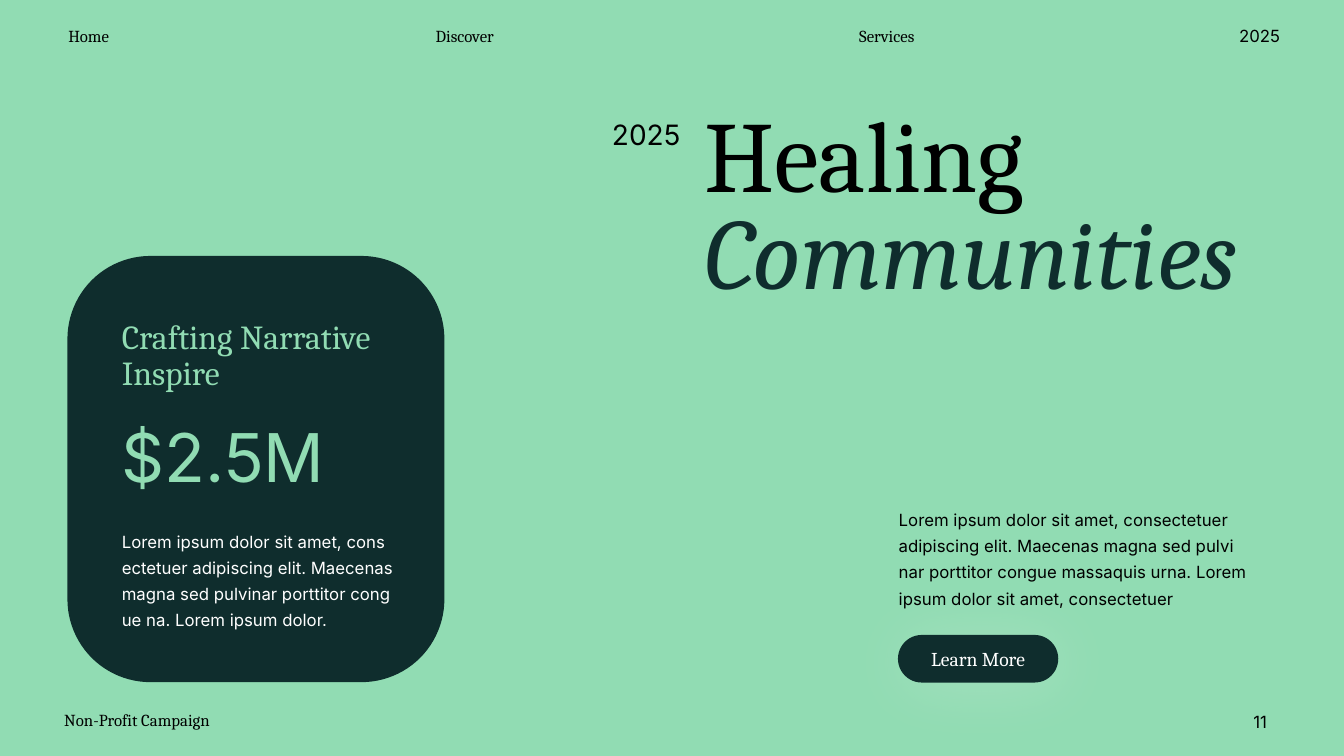
from dataclasses import dataclass

from lxml.etree import SubElement
from pptx import Presentation
from pptx.dml.color import RGBColor
from pptx.enum.shapes import MSO_SHAPE
from pptx.enum.text import MSO_ANCHOR, MSO_AUTO_SIZE, PP_ALIGN
from pptx.oxml.ns import qn
from pptx.shapes.autoshape import Shape
from pptx.slide import Slide
from pptx.text.text import TextFrame
from pptx.util import Cm, Pt

MINT = RGBColor(0x91, 0xDC, 0xB3)
PINE = RGBColor(0x0F, 0x2D, 0x2D)
BLACK = RGBColor(0, 0, 0)
WHITE = RGBColor(0xFF, 0xFF, 0xFF)
GLOW = RGBColor(0xF6, 0xF5, 0xF1)
SERIF = "Cambria"
SANS = "Inter"
LEFT, CENTER, RIGHT = PP_ALIGN.LEFT, PP_ALIGN.CENTER, PP_ALIGN.RIGHT


@dataclass(frozen=True)
class Span:
    text: str
    color: RGBColor = BLACK
    italic: bool = False


@dataclass(frozen=True)
class Style:
    font: str
    size: float
    align: PP_ALIGN = LEFT
    spacing: float = 1.0


@dataclass(frozen=True)
class Label:
    """Place in centimetres, style, and paragraphs made of spans."""
    place: tuple[float, float, float, float]
    style: Style
    paragraphs: list[list[Span]]
    wrap: bool = True


@dataclass(frozen=True)
class Panel:
    place: tuple[float, float, float, float]
    corner: float


MENU = Style(SERIF, 12, CENTER)
MENU_YEAR = Style(SANS, 12, CENTER)
FOOTER = Style(SERIF, 12)
PAGE_NUMBER = Style(SANS, 12, RIGHT)
TITLE = Style(SERIF, 72, spacing=0.8)
TITLE_YEAR = Style(SANS, 20, RIGHT)
CARD_HEADING = Style(SERIF, 24, spacing=0.9)
CARD_FIGURE = Style(SANS, 48, spacing=0.9)
BODY = Style(SANS, 12, spacing=1.3)
BUTTON = Style(SERIF, 14, CENTER)

MENU_TOP, LINE_HEIGHT, CARD_TEXT_LEFT = 0.53, 0.77, 2.82

CARD = Panel((1.7, 6.45, 9.5, 10.74), 0.22)
LEARN_MORE = Panel((22.63, 16.0, 4.04, 1.2), 0.5)

LABELS = [
    Label((1.37, MENU_TOP, 1.73, LINE_HEIGHT), MENU, [[Span("Home")]], wrap=False),
    Label((10.57, MENU_TOP, 2.29, LINE_HEIGHT), MENU, [[Span("Discover")]], wrap=False),
    Label((21.26, MENU_TOP, 2.18, LINE_HEIGHT), MENU, [[Span("Services")]], wrap=False),
    Label((30.96, MENU_TOP, 1.57, LINE_HEIGHT), MENU_YEAR, [[Span("2025")]], wrap=False),
    Label((1.37, 17.75, 7.34, LINE_HEIGHT), FOOTER, [[Span("Non-Profit Campaign")]]),
    Label((30.45, 17.81, 1.73, LINE_HEIGHT), PAGE_NUMBER, [[Span("11")]]),
    Label((17.5, 2.77, 15.19, 5.18), TITLE,
          [[Span("Healing "), Span("Communities", PINE, italic=True)]]),
    Label((14.91, 2.84, 2.49, 1.12), TITLE_YEAR, [[Span("2025")]]),
    Label((22.4, 12.57, 9.5, 2.87), BODY, [
        [Span("Lorem ipsum dolor sit amet, consectetuer adipiscing elit. "
              "Maecenas magna sed pulvi")],
        [Span("nar porttitor congue massaquis urna. Lorem ipsum dolor sit amet, "
              "consectetuer")],
    ]),
    Label((CARD_TEXT_LEFT, 7.95, 7.65, 2.11), CARD_HEADING,
          [[Span("Crafting Narrative Inspire", MINT)]]),
    Label((CARD_TEXT_LEFT, 10.57, 6.1, 2.11), CARD_FIGURE, [[Span("$2.5M", MINT)]]),
    Label((CARD_TEXT_LEFT, 13.11, 7.49, 2.87), BODY, [
        [Span("Lorem ipsum dolor sit amet, cons", WHITE)],
        [Span("ectetuer adipiscing elit. Maecenas magna sed pulvinar porttitor cong", WHITE)],
        [Span("ue na. Lorem ipsum dolor.", WHITE)],
    ]),
]


def write_text(frame: TextFrame, style: Style, paragraphs: list[list[Span]]) -> None:
    for index, spans in enumerate(paragraphs):
        para = frame.add_paragraph() if index else frame.paragraphs[0]
        para.alignment = style.align
        para.line_spacing = style.spacing
        for span in spans:
            run = para.add_run()
            run.text = span.text
            run.font.color.rgb = span.color
            formats = {"name": style.font, "size": Pt(style.size), "italic": span.italic}
            for name, value in formats.items():
                setattr(run.font, name, value)


def add_label(page: Slide, label: Label) -> None:
    box = page.shapes.add_textbox(*map(Cm, label.place))
    formats = {"word_wrap": label.wrap, "auto_size": MSO_AUTO_SIZE.SHAPE_TO_FIT_TEXT}
    for name, value in formats.items():
        setattr(box.text_frame, name, value)
    write_text(box.text_frame, label.style, label.paragraphs)


def add_panel(page: Slide, panel: Panel) -> Shape:
    shape = page.shapes.add_shape(MSO_SHAPE.ROUNDED_RECTANGLE, *map(Cm, panel.place))
    shape.adjustments[0] = panel.corner
    shape.shadow.inherit = False
    shape.fill.solid()
    shape.fill.fore_color.rgb = PINE
    shape.line.fill.background()
    return shape


def add_glow(shape: Shape) -> None:
    """Put a soft pale shadow behind the shape."""
    effects = shape.element.spPr.find(qn("a:effectLst"))
    shadow = SubElement(effects, qn("a:outerShdw"), {
        "blurRad": str(Pt(48)), "dist": str(Pt(4)), "dir": str(45 * 60000),
        "algn": "ctr", "rotWithShape": "0",
    })
    color = SubElement(shadow, qn("a:srgbClr"), val=str(GLOW))
    SubElement(color, qn("a:alpha"), val="21000")


def main() -> None:
    deck = Presentation()
    deck.slide_width, deck.slide_height = Cm(33.87), Cm(19.05)
    page = deck.slides.add_slide(deck.slide_layouts[6])
    page.background.fill.solid()
    page.background.fill.fore_color.rgb = MINT

    add_panel(page, CARD)
    button = add_panel(page, LEARN_MORE)
    add_glow(button)
    button.text_frame.vertical_anchor = MSO_ANCHOR.MIDDLE
    write_text(button.text_frame, BUTTON, [[Span("Learn More", WHITE)]])

    for label in LABELS:
        add_label(page, label)
    deck.save("out.pptx")


if __name__ == "__main__":
    main()
